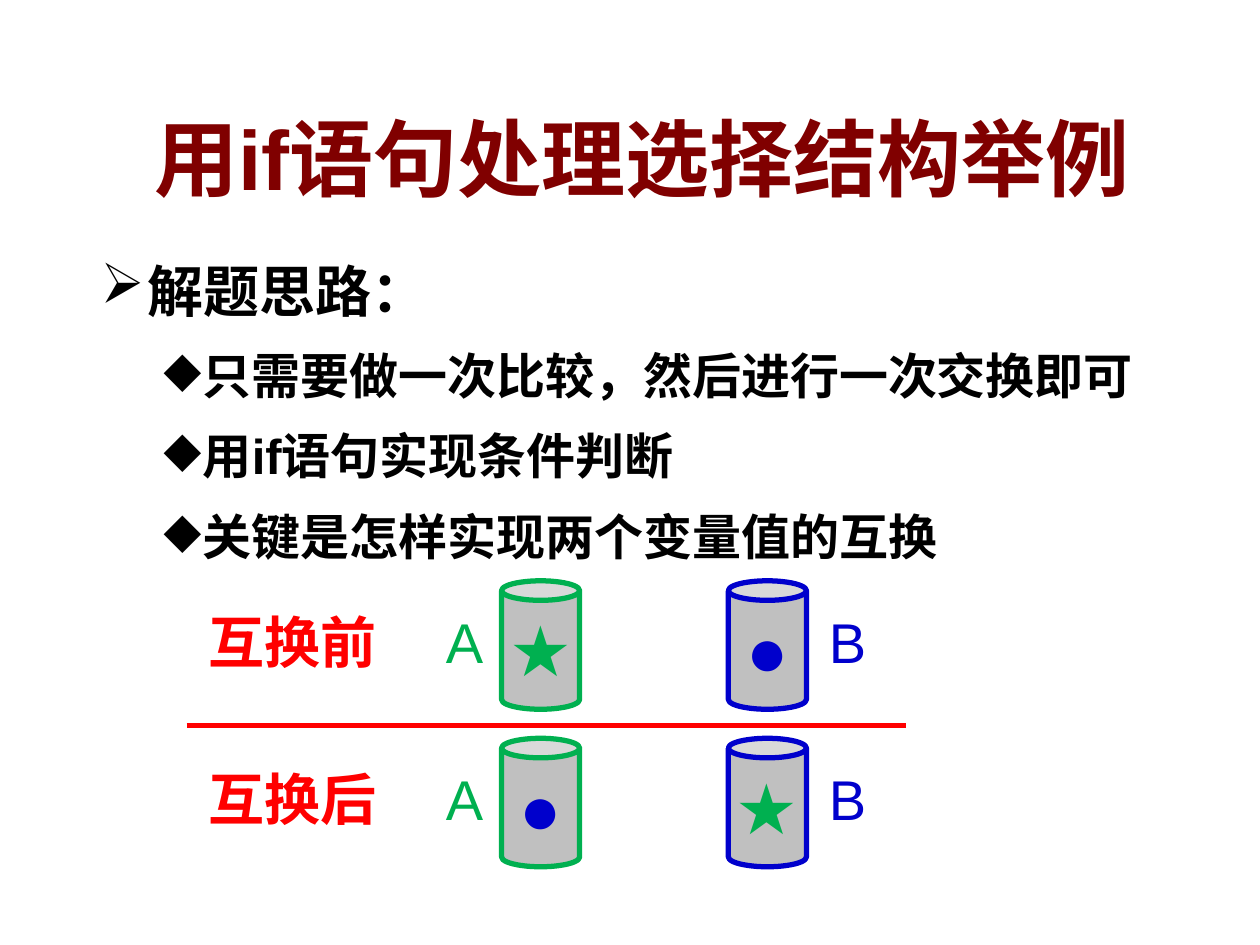
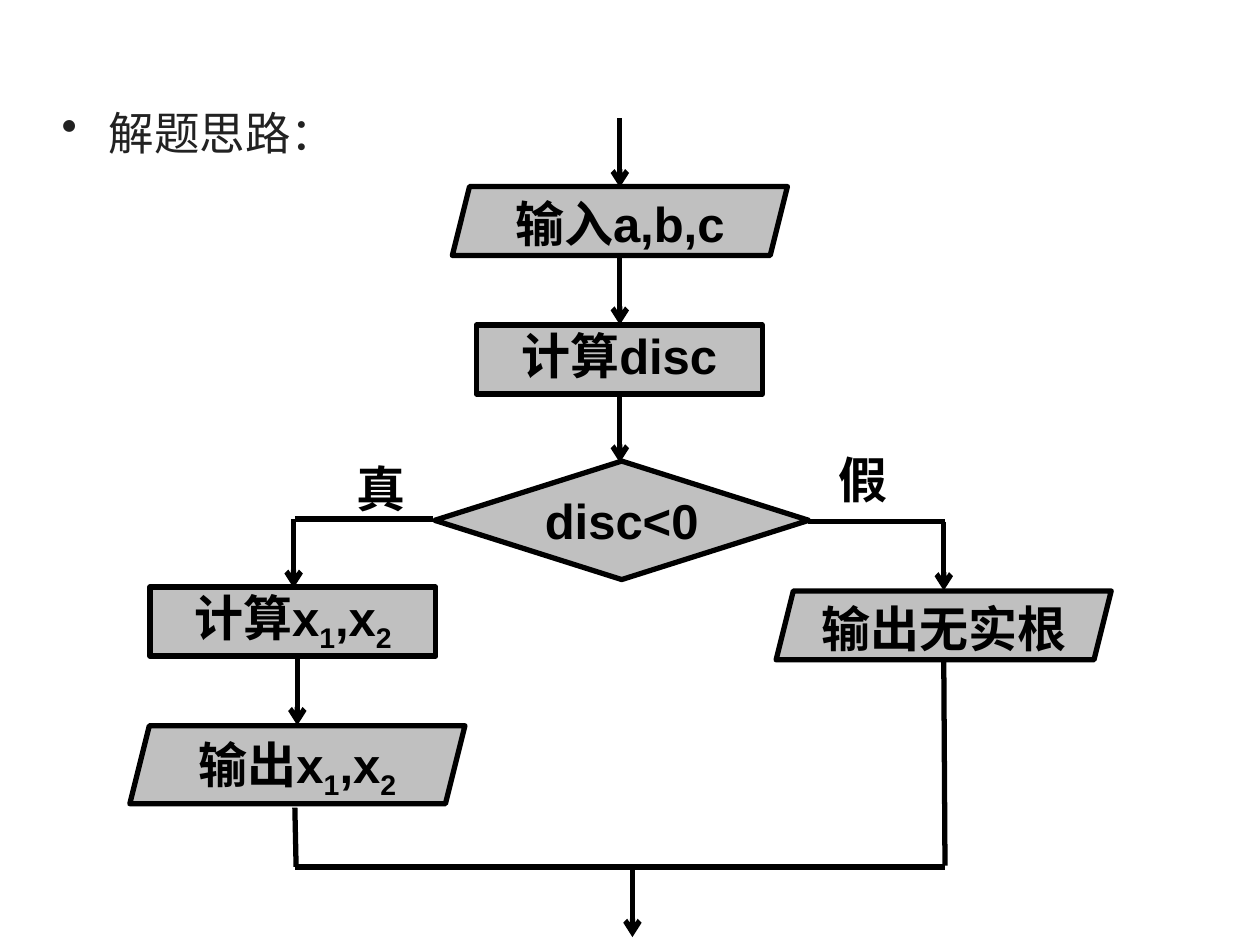
import pptx
import pptx.dml.color
import pptx.enum.lang
import pptx.enum.shapes
import pptx.enum.text
import pptx.oxml.ns
import pptx.util
from lxml import etree

Pt = pptx.util.Pt
RGBColor = pptx.dml.color.RGBColor
SHAPE = pptx.enum.shapes.MSO_SHAPE
ALIGN = pptx.enum.text.PP_ALIGN
ANCHOR = pptx.enum.text.MSO_ANCHOR
CHINESE = pptx.enum.lang.MSO_LANGUAGE_ID.SIMPLIFIED_CHINESE
qn = pptx.oxml.ns.qn

BLACK = RGBColor(0x00, 0x00, 0x00)
CHARCOAL = RGBColor(0x22, 0x22, 0x22)
MAROON = RGBColor(0x80, 0x00, 0x00)
RED = RGBColor(0xFF, 0x00, 0x00)
GREEN = RGBColor(0x00, 0xB0, 0x50)
BLUE = RGBColor(0x00, 0x00, 0xCC)
SILVER = RGBColor(0xC0, 0xC0, 0xC0)
FONT = "Arial"
LINE_WIDTH = Pt(3)


def write_text(p, text, size=28, color=BLACK, bold=True, align=ALIGN.LEFT,
               level=0, margin=0, hanging=0, bullet=None, spacing=None, before=0):
    pPr = p._p.get_or_add_pPr()
    pPr.set("marL", str(Pt(margin)))
    pPr.set("indent", str(-Pt(hanging)))
    if bullet:
        etree.SubElement(pPr, qn("a:buChar")).set("char", bullet)
    p.level = level
    p.alignment = align
    p.space_before = Pt(before)
    if spacing:
        p.line_spacing = spacing
    for i, part in enumerate(text.split("_")):
        if not part:
            continue
        r = p.add_run()
        r.text = part
        r.font.name = FONT
        r.font.size = Pt(size)
        r.font.bold = bold
        r.font.color.rgb = color
        r.font.language_id = CHINESE
        if i % 2:
            r._r.get_or_add_rPr().set("baseline", "-25000")


def add_text(s, x, y, w, h, *items, anchor=ANCHOR.TOP):
    tf = s.shapes.add_textbox(Pt(x), Pt(y), Pt(w), Pt(h)).text_frame
    tf.word_wrap = True
    tf.vertical_anchor = anchor
    for i, (text, style) in enumerate(items):
        p = tf.add_paragraph() if i else tf.paragraphs[0]
        write_text(p, text, **style)


def add_box(s, kind, x, y, w, h, text, line=BLACK, inset=0, **style):
    sp = s.shapes.add_shape(kind, Pt(x), Pt(y), Pt(w), Pt(h))
    sp.shadow.inherit = False
    sp.fill.solid()
    sp.fill.fore_color.rgb = SILVER
    sp.line.color.rgb = line
    sp.line.width = LINE_WIDTH
    tf = sp.text_frame
    tf.word_wrap = False
    tf.vertical_anchor = ANCHOR.TOP
    tf.margin_left = tf.margin_right = Pt(2 * inset)
    tf.margin_top = tf.margin_bottom = Pt(inset)
    write_text(tf.paragraphs[0], text, align=ALIGN.CENTER, **style)
    return sp


def add_line(s, x1, y1, x2, y2, color=BLACK, arrow=False):
    kind = pptx.enum.shapes.MSO_CONNECTOR.STRAIGHT
    sp = s.shapes.add_connector(kind, Pt(x1), Pt(y1), Pt(x2), Pt(y2))
    sp.line.color.rgb = color
    sp.line.width = LINE_WIDTH
    if arrow:
        etree.SubElement(sp.line._get_or_add_ln(), qn("a:tailEnd")).set("type", "arrow")
    etree.SubElement(sp._element.spPr, qn("a:effectLst"))


def add_can(s, x, y, line, token):
    symbol, color = token
    sp = add_box(s, SHAPE.CAN, x, y, 44.6, 73.4, symbol, line=line, inset=3.6,
                 size=40, color=color, bold=False)
    sp.adjustments[0] = 0.25


def build_swap_slide(s):
    step = dict(level=1, margin=58.5, hanging=22.5, bullet="◆", spacing=1.2, before=5.6)
    add_text(s, 50.4, 135.4, 613.4, 202.3,
             ("解题思路：", dict(size=32, margin=27, hanging=27, bullet="➢", spacing=1.2)),
             ("只需要做一次比较，然后进行一次交换即可", step),
             ("用if语句实现条件判断", step),
             ("关键是怎样实现两个变量值的互换", step))

    star, dot = ("★", GREEN), ("●", BLUE)
    rows = [("互换前", star, dot), ("互换后", dot, star)]
    for i, (caption, in_a, in_b) in enumerate(rows):
        can_top = 331.9 + 90 * i
        label_top = can_top + 11.5
        add_can(s, 286.6, can_top, GREEN, in_a)
        add_can(s, 416.2, can_top, BLUE, in_b)
        for x, name, color in [(247.7, "A", GREEN), (466.6, "B", BLUE)]:
            add_text(s, x, label_top, 33.8, 46,
                     (name, dict(size=32, color=color, bold=False)))
        add_text(s, 112.3, label_top, 112.3, 46, (caption, dict(size=32, color=RED)))
    add_line(s, 106.6, 414.7, 517.7, 414.7, RED)

    add_text(s, 5.8, 56.9, 708.5, 65.5,
             ("用if语句处理选择结构举例",
              dict(size=48, color=MAROON, align=ALIGN.CENTER, margin=13.3)),
             anchor=ANCHOR.MIDDLE)


def build_flowchart_slide(s):
    add_text(s, 28.1, 56.2, 213.8, 61.9,
             ("解题思路：", dict(size=26, color=CHARCOAL, bold=False,
                            margin=27, hanging=27, bullet="•")))

    data, process = SHAPE.PARALLELOGRAM, SHAPE.FLOWCHART_PROCESS
    steps = [
        (data, 258.5, 106.6, 191.5, 39.4, "输入a,b,c"),
        (process, 272.2, 185.8, 163.4, 39.4, "计算disc"),
        (SHAPE.FLOWCHART_DECISION, 248.4, 263.5, 213.8, 67.7, "disc<0"),
        (process, 85.7, 335.5, 163.4, 39.4, "计算x_1_,x_2"),
        (data, 443.5, 337.7, 191.5, 39.4, "输出无实根"),
        (data, 74.2, 414.7, 191.5, 44.6, "输出x_1_,x_2"),
    ]
    for step in steps:
        add_box(s, *step)

    arrows = [(354.2, 67.7), (354.2, 146.2), (354.2, 225), (167.8, 296.6),
              (539.3, 298.1), (169.9, 375.1), (361.4, 496.1)]
    for x, y in arrows:
        add_line(s, x, y, x, y + 39.4, arrow=True)

    branches = [
        (168.5, 296.6, 247.7, 296.6),
        (461.5, 298.1, 540, 298.1),
        (168.5, 495.4, 540, 495.4),
        (540, 494.6, 539.3, 376.6),
        (169.2, 495.4, 168.5, 461.5),
    ]
    for branch in branches:
        add_line(s, *branch)

    for x, y, answer in [(196.6, 258.5, "真"), (472.3, 253.4, "假")]:
        add_text(s, x, y, 39.6, 41, (answer, {}))


def main():
    prs = pptx.Presentation()
    prs.slide_width, prs.slide_height = Pt(720), Pt(540)
    for build in (build_swap_slide, build_flowchart_slide):
        build(prs.slides.add_slide(prs.slide_layouts[6]))
    prs.save("out.pptx")


if __name__ == "__main__":
    main()
